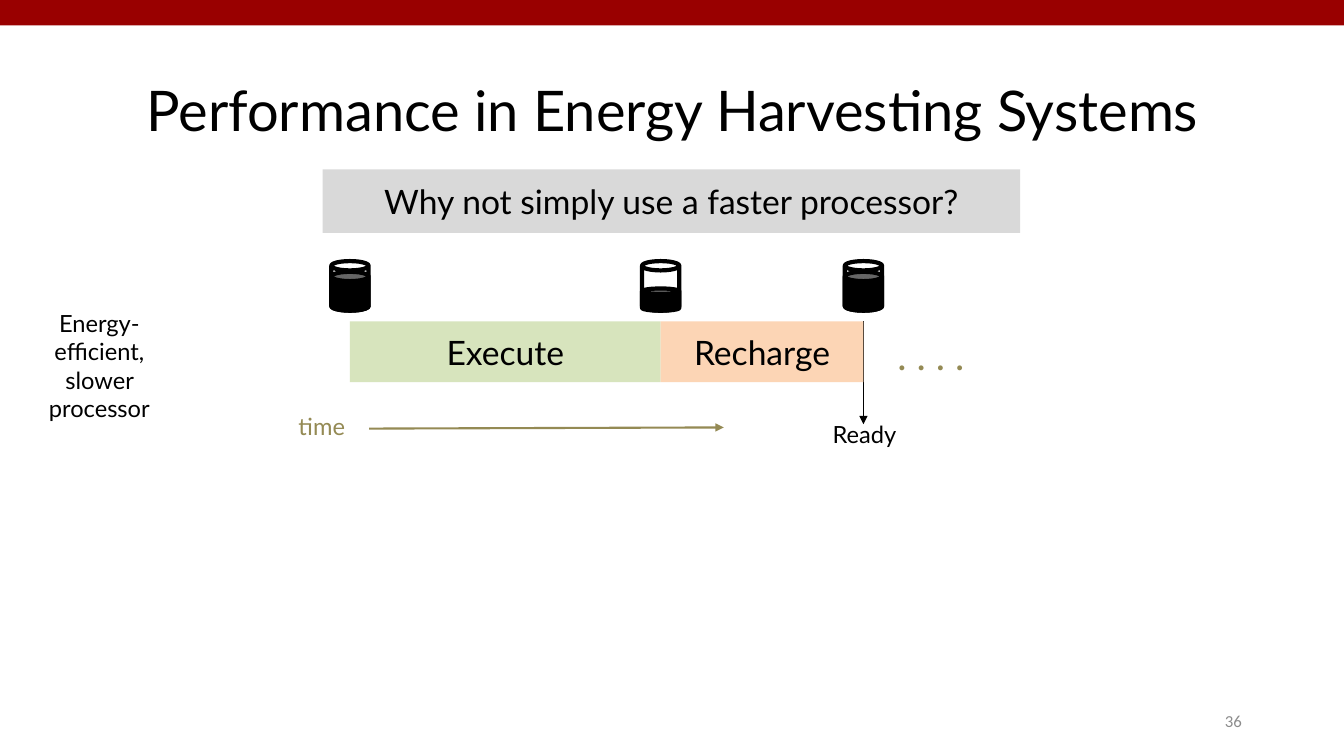
import pptx
import pptx.dml.color
import pptx.enum.shapes
import pptx.enum.text
import pptx.oxml
import pptx.oxml.ns
import pptx.util

Cm = pptx.util.Cm
Pt = pptx.util.Pt
SHAPE = pptx.enum.shapes.MSO_SHAPE
ALIGN = pptx.enum.text.PP_ALIGN
ANCHOR = pptx.enum.text.MSO_ANCHOR

BLACK = "000000"
OLIVE = "948A54"
LABEL = {"size": Pt(16.9), "name": "Lato"}
BAR_TEXT = {"size": Pt(24), "name": "Lato"}


def colour(value):
    return pptx.dml.color.RGBColor.from_string(value)


def apply(target, values):
    for name, value in values.items():
        setattr(target, name, value)


def write(frame, lines, font, ink=BLACK, align=ALIGN.CENTER, anchor=ANCHOR.MIDDLE, side=0.25):
    apply(frame, {
        "word_wrap": True,
        "auto_size": pptx.enum.text.MSO_AUTO_SIZE.NONE,
        "vertical_anchor": anchor,
        "margin_left": Cm(side),
        "margin_right": Cm(side),
        "margin_top": Cm(0.13),
        "margin_bottom": Cm(0.13),
    })
    for index, line in enumerate(lines):
        para = frame.paragraphs[0] if index == 0 else frame.add_paragraph()
        para.alignment = align
        span = para.add_run()
        span.text = line
        apply(span.font, font)
        span.font.color.rgb = colour(ink)


def add_label(page, box, lines, font=LABEL, ink=BLACK):
    label = page.shapes.add_textbox(*map(Cm, box))
    write(label.text_frame, lines, font, ink, anchor=ANCHOR.TOP, side=0)


def add_block(page, box, fill=None, outline=None, kind=SHAPE.RECTANGLE):
    block = page.shapes.add_shape(kind, *map(Cm, box))
    block.shadow.inherit = False
    if fill:
        block.fill.solid()
        block.fill.fore_color.rgb = colour(fill)
    else:
        block.fill.background()
    if outline:
        block.line.color.rgb = colour(outline)
        block.line.width = Pt(3)
    else:
        block.line.fill.background()
    return block


def add_arrow(page, start, end, ink, width):
    arrow = page.shapes.add_connector(
        pptx.enum.shapes.MSO_CONNECTOR.STRAIGHT, *map(Cm, start + end))
    arrow.line.color.rgb = colour(ink)
    arrow.line.width = Pt(width)
    head = pptx.oxml.parse_xml(
        f'<a:tailEnd {pptx.oxml.ns.nsdecls("a")} type="triangle"/>')
    arrow.line._get_or_add_ln().append(head)
    effects = pptx.oxml.parse_xml(f'<a:effectLst {pptx.oxml.ns.nsdecls("a")}/>')
    arrow._element.spPr.append(effects)


def add_frame(page, width):
    add_block(page, (0, 0, width, 0.64), "990000")
    number = page.shapes.add_textbox(Cm(width - 9.94), Cm(17.65), Cm(7.62), Cm(1.02))
    write(number.text_frame, ["36"], {"size": Pt(12), "name": "Calibri"}, "8C8C8C", ALIGN.RIGHT)


def add_title(page, box, text):
    title = page.shapes.title
    apply(title, dict(zip(("left", "top", "width", "height"), map(Cm, box))))
    write(title.text_frame, [text], {"size": Pt(40), "name": "Lato"})
    title.text_frame.paragraphs[0].line_spacing = 0.9


def add_question(page, box, text):
    banner = add_block(page, box, "D9D9D9")
    write(banner.text_frame, [text], BAR_TEXT, side=1.02)


def add_storage(page, box, level):
    left, top, width, height = box
    add_block(page, box, outline=BLACK, kind=SHAPE.CAN)
    charge = (left, top + height - level, width, level)
    add_block(page, charge, BLACK, BLACK, SHAPE.CAN)


def add_timeline(page, box):
    left, top, width, height = box
    phases = [("Execute", 7.83, "D7E4BD"), ("Recharge", width - 7.83, "FCD5B5")]
    ready = left + width
    add_arrow(page, (ready, top), (ready, top + 2.59), BLACK, 0.5)
    add_label(page, (ready - 1.74, top + 2.36, 3.53, 0.99), ["Ready"])

    for moment, level in [(left, 0.98), (left + 7.83, 0.56), (ready, 0.98)]:
        add_storage(page, (moment - 0.47, top - 1.52, 0.94, 1.25), level)

    add_label(page, (left - 1.89, top + 2.14, 2.36, 0.99), ["time"], ink=OLIVE)
    add_arrow(page, (left + 0.48, top + 2.7), (left + 9.42, top + 2.67), OLIVE, 1.5)

    start = left
    for name, length, fill in phases:
        phase = add_block(page, (start, top, length, height), fill)
        write(phase.text_frame, [name], BAR_TEXT)
        start += length
    dots = {"size": Pt(28), "name": "Lato"}
    add_label(page, (ready + 0.75, top + 0.13, 1.9, 1.45), [". . . . "], dots, OLIVE)


def main():
    deck = pptx.Presentation()
    deck.slide_width = Cm(33.87)
    deck.slide_height = Cm(19.05)
    page = deck.slides.add_slide(deck.slide_layouts[5])
    add_frame(page, 33.87)
    add_title(page, (2.34, 1.02, 29.21, 3.68), "Performance in Energy Harvesting Systems")
    add_question(page, (8.13, 4.27, 17.58, 1.6), "Why not simply use a faster processor?")
    add_label(page, (0.74, 7.65, 3.53, 3.15), ["Energy-efficient,", "slower processor"])
    add_timeline(page, (8.82, 8.1, 12.94, 1.53))
    deck.save("out.pptx")


if __name__ == "__main__":
    main()
